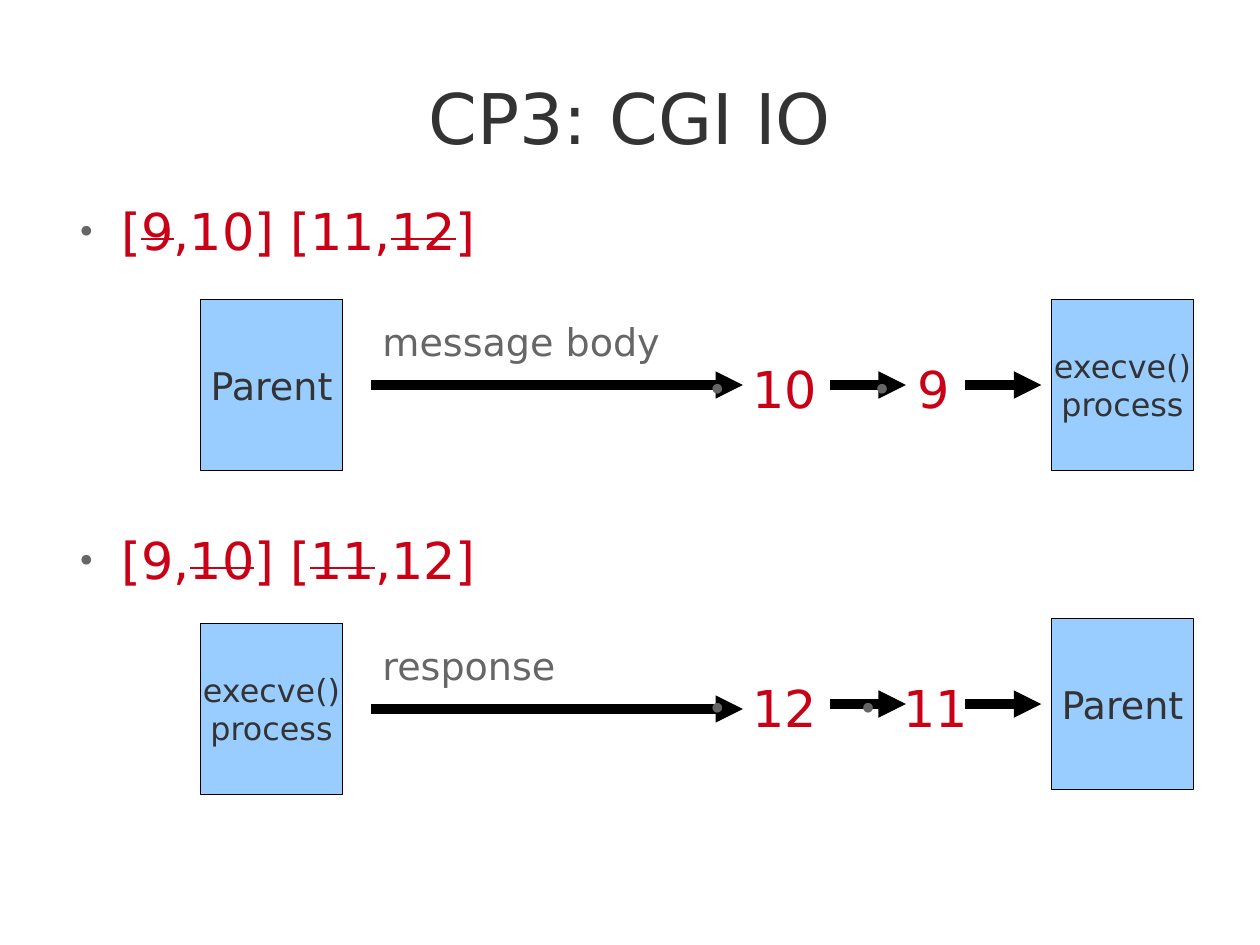
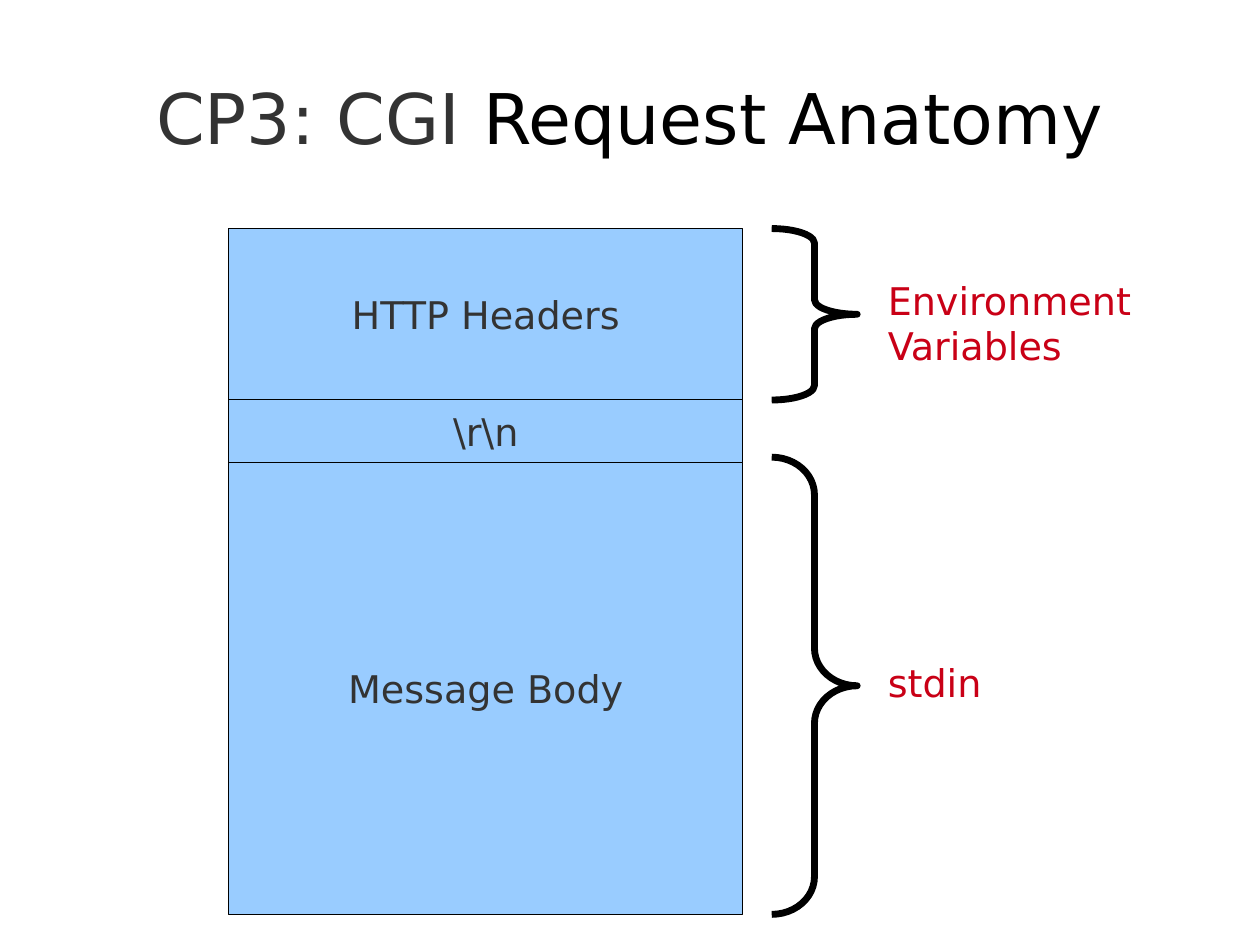
from dataclasses import dataclass
from typing import NamedTuple

from pptx import Presentation
from pptx.dml.color import RGBColor
from pptx.enum.shapes import MSO_CONNECTOR, MSO_SHAPE
from pptx.enum.text import MSO_ANCHOR, MSO_AUTO_SIZE, PP_ALIGN
from pptx.oxml.ns import qn
from pptx.oxml.xmlchemy import OxmlElement
from pptx.shapes.autoshape import Shape
from pptx.slide import Slide
from pptx.util import Cm, Pt


@dataclass(frozen=True)
class Theme:
    font: str = "DejaVu Sans"
    ink: RGBColor = RGBColor(0x33, 0x33, 0x33)
    black: RGBColor = RGBColor(0x00, 0x00, 0x00)
    grey: RGBColor = RGBColor(0x66, 0x66, 0x66)
    red: RGBColor = RGBColor(0xC9, 0x00, 0x16)
    blue: RGBColor = RGBColor(0x99, 0xCC, 0xFF)
    title_size: float = 44
    bullet_size: float = 32
    body_size: float = 24
    small_size: float = 20
    arrow_width: float = 5.75
    brace_width: float = 4.31


THEME = Theme()


class Span(NamedTuple):
    text: str
    color: RGBColor | None = None
    strike: bool = False


class Area(NamedTuple):
    """A rectangle in centimetres."""
    left: float
    top: float
    width: float
    height: float

    def lengths(self) -> tuple[Cm, ...]:
        return tuple(Cm(value) for value in self)


class Node(NamedTuple):
    lines: tuple[str, ...]
    size: float


class Descriptor(NamedTuple):
    number: str
    left: float


class Flow(NamedTuple):
    """Data moving from one process to another through a pipe."""
    pipes: tuple[Span, ...]
    pipes_top: float
    source: Node
    source_top: float
    label: str
    label_width: float
    target: Node
    target_top: float
    descriptors: tuple[Descriptor, ...]


class Section(NamedTuple):
    """A part of the request."""
    text: str
    top: float
    height: float


class Brace(NamedTuple):
    top: float
    height: float
    curve: float
    lines: tuple[str, ...]
    label: Area


NODE_WIDTH, NODE_HEIGHT = 3.17, 3.81
SOURCE_LEFT, TARGET_LEFT = 4.45, 23.36
LONG_ARROW = (8.25, 16.51)
SHORT_ARROWS = ((18.44, 20.13), (21.45, 23.14))

PARENT = Node(("Parent",), THEME.body_size)
CHILD = Node(("execve()", "process"), THEME.small_size)

FLOWS = (
    Flow((Span("["), Span("9", strike=True), Span(",10] [11,"),
          Span("12", strike=True), Span("]")), 4.44,
         PARENT, 6.65, "message body", 6.8, CHILD, 6.65,
         (Descriptor("10", 15.52), Descriptor("9", 19.18))),
    Flow((Span("[9,"), Span("10", strike=True), Span("] ["),
          Span("11", strike=True), Span(",12]")), 11.75,
         CHILD, 13.85, "response", 4.6, PARENT, 13.74,
         (Descriptor("12", 15.52), Descriptor("11", 18.87))),
)

SECTIONS = (
    Section("HTTP Headers", 5.08, 3.81),
    Section(r"\r\n", 8.88, 1.41),
    Section("Message Body", 10.28, 10.04),
)

BRACES = (
    Brace(5.08, 3.81, 0.17, ("Environment", "Variables"),
          Area(19.48, 6.03, 6.1, 2.24)),
    Brace(10.16, 10.16, 0.44, ("stdin",), Area(19.48, 14.53, 2.8, 1.24)),
)


def write_text(shape: Shape, *lines: str | tuple[Span, ...], size: float,
               color: RGBColor, align: PP_ALIGN = PP_ALIGN.LEFT,
               anchor: MSO_ANCHOR = MSO_ANCHOR.TOP, wrap: bool = True,
               inset: bool = True, bullet: bool = False) -> None:
    frame = shape.text_frame
    frame.word_wrap = wrap
    frame.auto_size = MSO_AUTO_SIZE.NONE
    frame.vertical_anchor = anchor
    frame.margin_left = frame.margin_right = Cm(0.25 if inset else 0)
    frame.margin_top = frame.margin_bottom = Cm(0.13 if inset else 0)
    for index, line in enumerate(lines):
        para = frame.add_paragraph() if index else frame.paragraphs[0]
        para.alignment = align
        if bullet:
            add_bullet(para)
        for part in (Span(line),) if isinstance(line, str) else line:
            span = para.add_run()
            span.text = part.text
            span.font.name = THEME.font
            span.font.size = Pt(size)
            span.font.color.rgb = color if part.color is None else part.color
            if part.strike:
                span._r.get_or_add_rPr().set("strike", "sngStrike")


def add_bullet(para) -> None:
    para.space_after = Pt(14.2)
    properties = para._p.get_or_add_pPr()
    properties.set("marL", str(Cm(1.2)))
    properties.set("indent", str(Cm(-0.9)))
    color = OxmlElement("a:buClr")
    value = OxmlElement("a:srgbClr")
    value.set("val", str(THEME.grey))
    color.append(value)
    properties.append(color)
    for tag, name, setting in (("a:buSzPct", "val", "25000"),
                               ("a:buFont", "typeface", THEME.font),
                               ("a:buChar", "char", "●")):
        element = OxmlElement(tag)
        element.set(name, setting)
        properties.append(element)


def add_text(page: Slide, area: Area, *lines: str | tuple[Span, ...],
             **text_format) -> None:
    write_text(page.shapes.add_textbox(*area.lengths()), *lines, **text_format)


def add_title(page: Slide, *spans: Span) -> None:
    add_text(page, Area(1.4, 0.84, 25.2, 3.51), spans, size=THEME.title_size,
             color=THEME.ink, align=PP_ALIGN.CENTER, anchor=MSO_ANCHOR.MIDDLE,
             inset=False)


def add_bullet_text(page: Slide, area: Area, *spans: Span) -> None:
    add_text(page, area, spans, size=THEME.bullet_size, color=THEME.red,
             inset=False, bullet=True)


def add_box(page: Slide, area: Area, *lines: str,
            size: float = THEME.body_size) -> None:
    box = page.shapes.add_shape(MSO_SHAPE.RECTANGLE, *area.lengths())
    box.shadow.inherit = False
    box.fill.solid()
    box.fill.fore_color.rgb = THEME.blue
    box.line.color.rgb = THEME.black
    box.line.width = Pt(0)
    write_text(box, *lines, size=size, color=THEME.ink, align=PP_ALIGN.CENTER,
               anchor=MSO_ANCHOR.MIDDLE, wrap=False)


def add_arrow(page: Slide, start: float, end: float, height: float) -> None:
    arrow = page.shapes.add_connector(MSO_CONNECTOR.STRAIGHT, Cm(start),
                                      Cm(height), Cm(end), Cm(height))
    arrow.line.color.rgb = THEME.black
    arrow.line.width = Pt(THEME.arrow_width)
    head = OxmlElement("a:tailEnd")
    head.set("type", "triangle")
    properties = arrow.element.spPr
    properties.find(qn("a:ln")).append(head)
    properties.append(OxmlElement("a:effectLst"))


def add_brace(page: Slide, brace: Brace) -> None:
    area = Area(17.15, brace.top, 1.9, brace.height)
    outline = page.shapes.add_shape(MSO_SHAPE.RIGHT_BRACE, *area.lengths())
    outline.adjustments[0] = brace.curve
    outline.shadow.inherit = False
    outline.fill.background()
    outline.line.color.rgb = THEME.black
    outline.line.width = Pt(THEME.brace_width)
    add_text(page, brace.label, *brace.lines, size=THEME.body_size,
             color=THEME.red)


def add_flow(page: Slide, flow: Flow) -> None:
    add_bullet_text(page, Area(1.5, flow.pipes_top, 10.8, 1.59), *flow.pipes)
    for node, left, top in ((flow.source, SOURCE_LEFT, flow.source_top),
                            (flow.target, TARGET_LEFT, flow.target_top)):
        add_box(page, Area(left, top, NODE_WIDTH, NODE_HEIGHT), *node.lines,
                size=node.size)
    source_middle = flow.source_top + NODE_HEIGHT / 2
    target_middle = flow.target_top + NODE_HEIGHT / 2
    add_arrow(page, *LONG_ARROW, source_middle)
    for start, end in SHORT_ARROWS:
        add_arrow(page, start, end, target_middle)
    add_text(page, Area(LONG_ARROW[0], source_middle - 1.6, flow.label_width, 1.6),
             flow.label, size=THEME.body_size, color=THEME.grey)
    for descriptor in flow.descriptors:
        add_bullet_text(page, Area(descriptor.left, target_middle - 0.6, 3.1, 1.59),
                        Span(descriptor.number))


def build_io_page(page: Slide) -> None:
    add_title(page, Span("CP3: CGI IO"))
    for flow in FLOWS:
        add_flow(page, flow)


def build_anatomy_page(page: Slide) -> None:
    add_title(page, Span("CP3: CGI "), Span("Request Anatomy", THEME.black))
    for section in SECTIONS:
        add_box(page, Area(5.08, section.top, 11.43, section.height), section.text)
    for brace in BRACES:
        add_brace(page, brace)


def main() -> None:
    deck = Presentation()
    deck.slide_width, deck.slide_height = Cm(28), Cm(21)
    blank = deck.slide_layouts[6]
    for build_page in (build_io_page, build_anatomy_page):
        build_page(deck.slides.add_slide(blank))
    deck.save("out.pptx")


if __name__ == "__main__":
    main()
